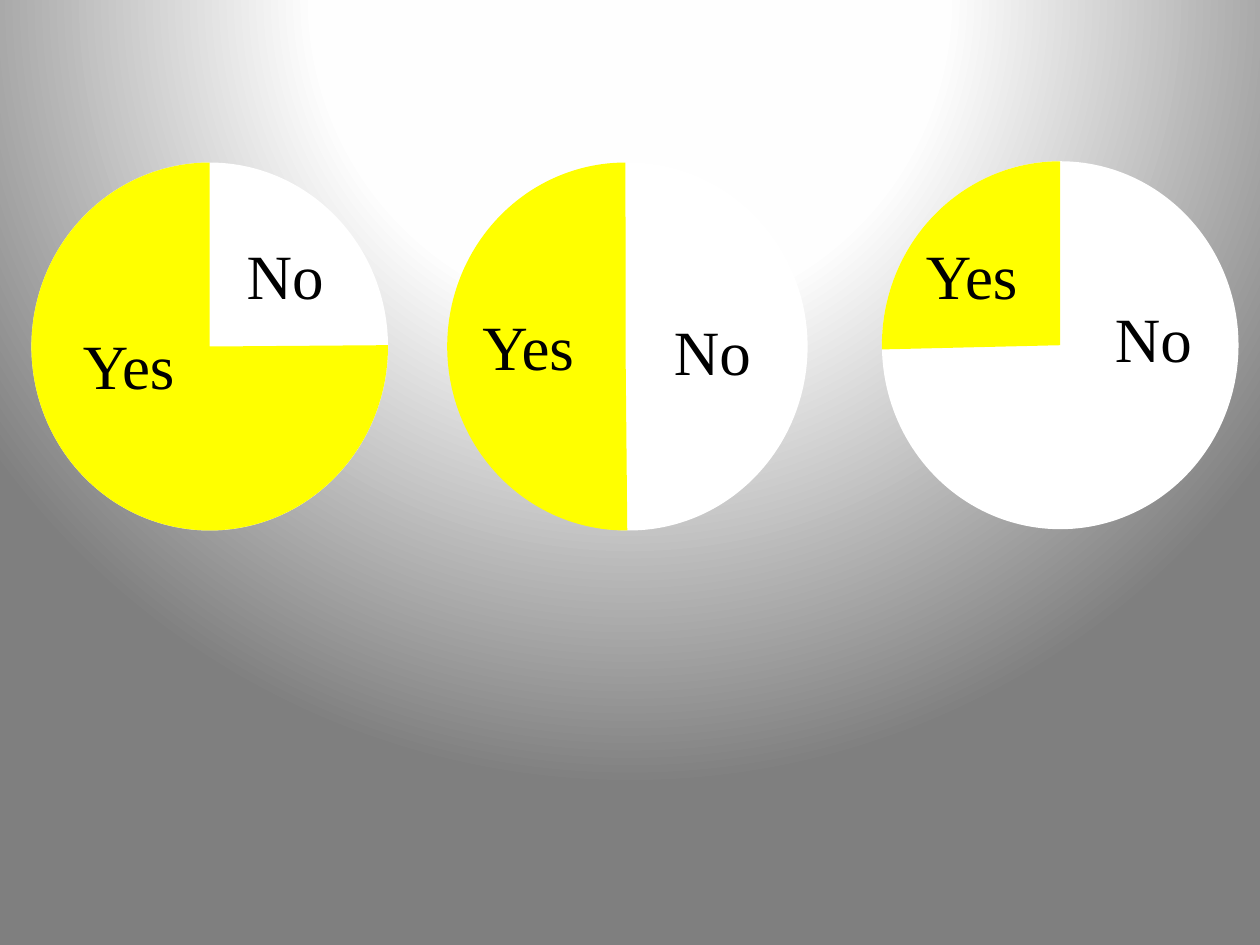
from pptx import Presentation
from pptx.dml.color import RGBColor as RGB
from pptx.enum.shapes import MSO_SHAPE as SHAPE
from pptx.enum.text import MSO_AUTO_SIZE as AUTO
from pptx.oxml import parse_xml
from pptx.oxml.ns import nsdecls, qn
from pptx.util import Inches, Pt

COLORS = {"no": "FFFFFF", "yes": "FFFF00", "text": "000000"}
GLOW = [(0, "FFFFFF"), (40, "FEFEFE"), (100, "7F7F7F")]
PIE_W, PIE_H = 2.83, 2.92
TOP = 270  # angle of twelve o'clock, in degrees


class Deck:
    """Holds the style and the current slide."""

    font, size = "Times New Roman", 36

    def __init__(self, width, height):
        """Start a deck with one blank slide."""
        self.prs = Presentation()
        self.prs.slide_width = Inches(width)
        self.prs.slide_height = Inches(height)
        self.slide = self.prs.slides.add_slide(self.prs.slide_layouts[6])

    def glow(self, stops):
        """Fill the background with a round gradient centred above the slide."""
        self.slide.background.fill.solid()
        solid = next(self.slide.element.iter(qn("a:solidFill")))
        marks = "".join(
            f'<a:gs pos="{pos * 1000}"><a:srgbClr val="{color}"/></a:gs>'
            for pos, color in stops)
        grad = parse_xml(
            f'<a:gradFill {nsdecls("a")} rotWithShape="1"><a:gsLst>{marks}</a:gsLst>'
            '<a:path path="circle"><a:fillToRect l="50000" t="-80000" '
            'r="50000" b="180000"/></a:path></a:gradFill>')
        solid.getparent().replace(solid, grad)

    def shape(self, kind, left, top, color):
        """Add a plain shape of pie size and return it."""
        shape = self.slide.shapes.add_shape(
            kind, Inches(left), Inches(top), Inches(PIE_W), Inches(PIE_H))
        shape.shadow.inherit = False
        shape.fill.solid()
        shape.fill.fore_color.rgb = RGB.from_string(COLORS[color])
        shape.line.fill.background()
        return shape

    def pie(self, left, top, shift, start):
        """Add a white disc with a yellow sector from start to the top."""
        self.shape(SHAPE.OVAL, left, top, "no")
        yes = self.shape(SHAPE.PIE, left + shift, top, "yes")
        for i, angle in enumerate((start, TOP)):
            yes.adjustments[i] = angle * 0.6

    def label(self, text, left, top):
        """Add a one-word label."""
        box = self.slide.shapes.add_textbox(
            Inches(left), Inches(top), Inches(0.97), Inches(0.71))
        frame = box.text_frame
        frame.word_wrap = True
        frame.auto_size = AUTO.SHAPE_TO_FIT_TEXT
        frame.text = text
        font = frame.paragraphs[0].runs[0].font
        font.name, font.size = self.font, Pt(self.size)
        font.color.rgb = RGB.from_string(COLORS["text"])


# left, top, shift of the sector, start angle
PIES = [(0.25, 1.29, 0, 359.57), (3.58, 1.29, -0.03, 89.45), (7, 1.28, 0, 178.65)]
LABELS = [("No", 1.86, 1.83), ("Yes", 0.56, 2.54), ("Yes", 3.73, 2.39),
          ("No", 5.25, 2.43), ("No", 8.75, 2.33), ("Yes", 7.25, 1.83)]

deck = Deck(10, 7.5)
deck.glow(GLOW)
for pie in PIES:
    deck.pie(*pie)
for label in LABELS:
    deck.label(*label)
deck.prs.save("out.pptx")
